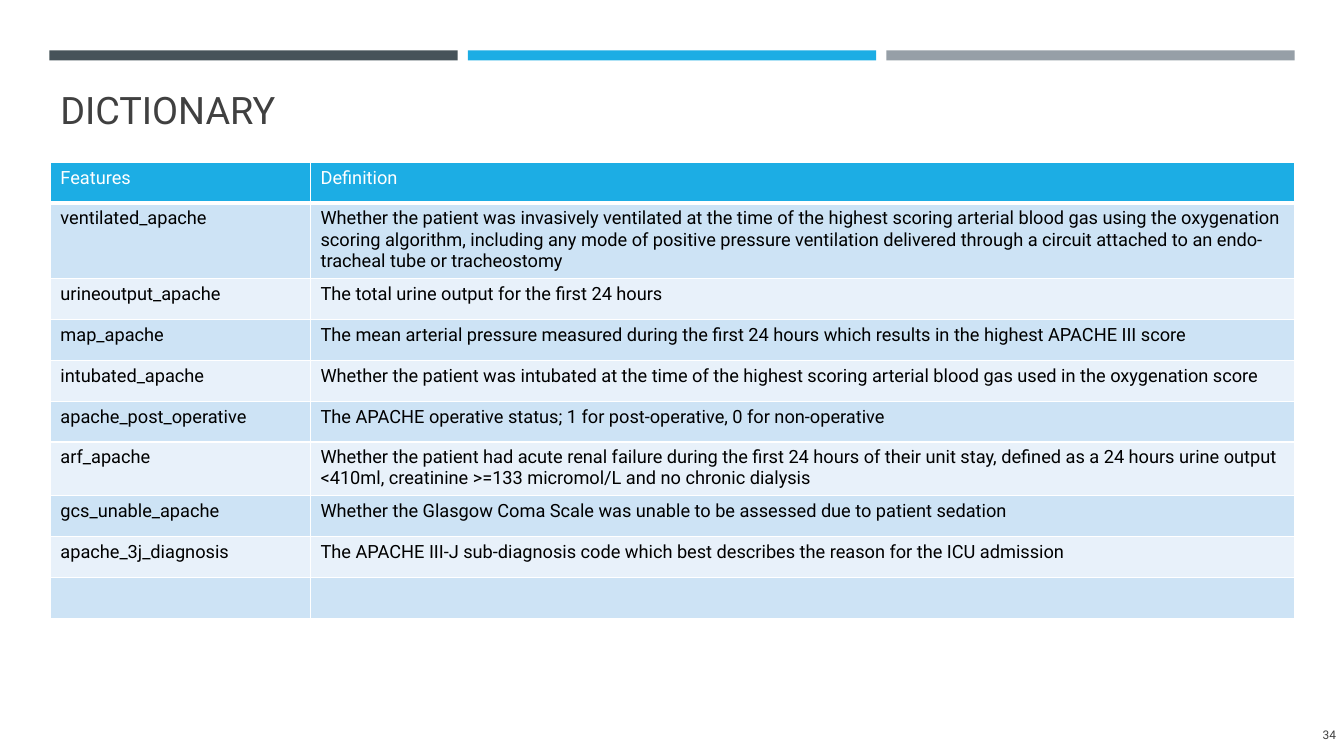
from lxml.etree import SubElement
from pptx import Presentation
from pptx.dml.color import RGBColor
from pptx.enum.shapes import MSO_SHAPE
from pptx.enum.text import MSO_ANCHOR, PP_ALIGN
from pptx.oxml import parse_xml
from pptx.oxml.ns import nsdecls, qn
from pptx.util import Inches, Pt

FONT = "Roboto"
LEFT, WIDTH = 0.5, 12.33
BARS = ["465359", "1CADE4", "969FA7"]
BAR, STEP = 4.05, 4.15
HEAD, BANDS = "1CADE4", ["CDE3F5", "E8F1FA"]
COLS = [2.58, 9.76]
ROWS = [
    ("Features", "Definition"),
    ("ventilated_apache",
     "Whether the patient was invasively ventilated at the time of the highest "
     "scoring arterial blood gas using the oxygenation scoring algorithm, "
     "including any mode of positive pressure ventilation delivered through a "
     "circuit attached to an endo-tracheal tube or tracheostomy"),
    ("urineoutput_apache", "The total urine output for the first 24 hours"),
    ("map_apache",
     "The mean arterial pressure measured during the first 24 hours which "
     "results in the highest APACHE III score"),
    ("intubated_apache",
     "Whether the patient was intubated at the time of the highest scoring "
     "arterial blood gas used in the oxygenation score"),
    ("apache_post_operative",
     "The APACHE operative status; 1 for post-operative, 0 for non-operative"),
    ("arf_apache",
     "Whether the patient had acute renal failure during the first 24 hours of "
     "their unit stay, defined as a 24 hours urine output <410ml, creatinine "
     ">=133 micromol/L and no chronic dialysis"),
    ("gcs_unable_apache",
     "Whether the Glasgow Coma Scale was unable to be assessed due to patient "
     "sedation"),
    ("apache_3j_diagnosis",
     "The APACHE III-J sub-diagnosis code which best describes the reason for "
     "the ICU admission"),
    ("", ""),
]


def paint(target, color):
    target.solid()
    target.fore_color.rgb = RGBColor.from_string(color)


def style(para, size, color):
    para.font.name = FONT
    para.font.size = Pt(size)
    para.font.bold = False
    para.font.color.rgb = RGBColor.from_string(color)


def add_bar(slide, col, color):
    bar = slide.shapes.add_shape(
        MSO_SHAPE.RECTANGLE, Inches(0.49 + col * STEP), Inches(0.5),
        Inches(BAR), Inches(0.1))
    bar.shadow.inherit = False
    paint(bar.fill, color)
    bar.line.fill.background()


def add_label(slide, box, text, size, align):
    frame = slide.shapes.add_textbox(*map(Inches, box)).text_frame
    frame.word_wrap = True
    frame.vertical_anchor = MSO_ANCHOR.MIDDLE
    para = frame.paragraphs[0]
    para.text = text
    para.alignment = align
    para.line_spacing = 0.9
    style(para, size, "404040")


def add_edges(cell, top, bottom):
    """Draw white cell borders, with top and bottom widths in points."""
    props = cell._tc.get_or_add_tcPr()
    widths = {"L": 1, "R": 1, "T": top, "B": bottom}
    for place, (side, width) in enumerate(widths.items()):
        line = parse_xml(f'<a:ln{side} {nsdecls("a")} w="{Pt(width)}"/>')
        fill = SubElement(line, qn("a:solidFill"))
        SubElement(fill, qn("a:srgbClr"), val="FFFFFF")
        props.insert(place, line)


def add_grid(slide):
    height = Inches(4.05)
    table = slide.shapes.add_table(
        len(ROWS), len(COLS), Inches(LEFT), Inches(1.61),
        Inches(WIDTH), height).table
    for col, width in zip(table.columns, COLS):
        col.width = Inches(width)
    for r, texts in enumerate(ROWS):
        table.rows[r].height = height // len(ROWS)
        for c, text in enumerate(texts):
            cell = table.cell(r, c)
            paint(cell.fill, BANDS[(r - 1) % 2] if r else HEAD)
            add_edges(cell, 3 if r == 1 else 1, 3 if r == 0 else 1)
            para = cell.text_frame.paragraphs[0]
            para.text = text
            style(para, 13, "000000" if r else "FFFFFF")


def main():
    deck = Presentation()
    deck.slide_width, deck.slide_height = Inches(13.33), Inches(7.5)
    slide = deck.slides.add_slide(deck.slide_layouts[6])
    for col, color in enumerate(BARS):
        add_bar(slide, col, color)
    add_label(slide, (LEFT, 0.77, WIDTH, 0.68), "DICTIONARY", 27, PP_ALIGN.LEFT)
    add_grid(slide)
    add_label(slide, (12.2, 7.1, 1.15, 0.4), "34", 8.5, PP_ALIGN.RIGHT)
    deck.save("out.pptx")


if __name__ == "__main__":
    main()
